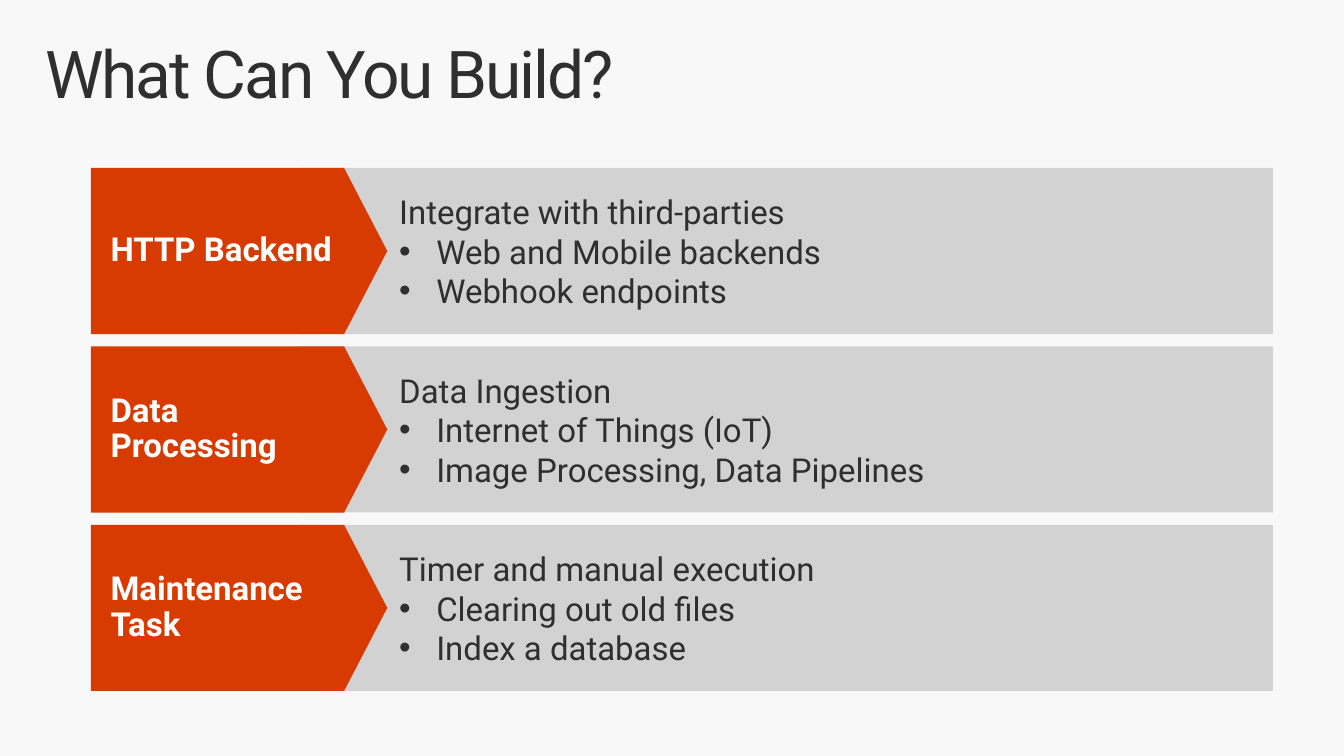
from dataclasses import dataclass

from lxml import etree
from pptx import Presentation
from pptx.dml.color import RGBColor
from pptx.enum.shapes import MSO_SHAPE
from pptx.enum.text import MSO_ANCHOR, PP_ALIGN
from pptx.oxml.ns import qn
from pptx.shapes.autoshape import Shape
from pptx.shapes.group import GroupShape
from pptx.slide import Slide
from pptx.text.text import TextFrame, _Paragraph, _Run
from pptx.util import Pt

RECTANGLE = MSO_SHAPE.RECTANGLE
PENTAGON = MSO_SHAPE.PENTAGON
TOP, MIDDLE = MSO_ANCHOR.TOP, MSO_ANCHOR.MIDDLE
LEFT = PP_ALIGN.LEFT

FONT = "Roboto"
COLORS = {
    "background": "F8F8F8",
    "text": "2F2F2F",
    "panel": "D2D2D2",
    "label": "D83B01",
    "label_text": "FFFFFF",
}
ROW_TOP, ROW_HEIGHT, ROW_PITCH = 122.4, 121, 130
PANEL_LEFT, PANEL_WIDTH = 218.9, 708.5
LABEL_LEFT, LABEL_WIDTH = 66.2, 216
BULLET_INDENT = 27


@dataclass(frozen=True)
class UseCase:
    label: str
    heading: str
    examples: tuple[str, ...]


USE_CASES = (
    UseCase("HTTP Backend", "Integrate with third-parties",
            ("Web and Mobile backends", "Webhook endpoints")),
    UseCase("Data Processing", "Data Ingestion",
            ("Internet of Things (IoT)", "Image Processing, Data Pipelines")),
    UseCase("Maintenance Task", "Timer and manual execution",
            ("Clearing out old files", "Index a database")),
)


def rgb(name: str) -> RGBColor:
    return RGBColor.from_string(COLORS[name])


def set_frame(tf: TextFrame, anchor: MSO_ANCHOR, left: float, right: float, vertical: float) -> None:
    tf.word_wrap = True
    tf.vertical_anchor = anchor
    tf.margin_left, tf.margin_right = Pt(left), Pt(right)
    tf.margin_top = tf.margin_bottom = Pt(vertical)


def add_run(p: _Paragraph, text: str, color: str, size: float = 24, bold: bool = False) -> _Run:
    p.alignment = LEFT
    r = p.add_run()
    r.text = text
    r.font.name = FONT
    r.font.size = Pt(size)
    r.font.bold = bold
    r.font.color.rgb = rgb(color)
    return r


def add_bullet(p: _Paragraph) -> None:
    pPr = p._p.get_or_add_pPr()
    pPr.set("marL", str(Pt(BULLET_INDENT)))
    pPr.set("indent", str(-Pt(BULLET_INDENT)))
    etree.SubElement(pPr, qn("a:buFont")).set("typeface", "Arial")
    etree.SubElement(pPr, qn("a:buChar")).set("char", "•")


def add_block(group: GroupShape, kind: MSO_SHAPE, left: float, top: float, width: float, fill: str) -> Shape:
    s = group.shapes.add_shape(kind, Pt(left), Pt(top), Pt(width), Pt(ROW_HEIGHT))
    s.shadow.inherit = False
    s.fill.solid()
    s.fill.fore_color.rgb = rgb(fill)
    s.line.fill.background()
    return s


def add_title(slide: Slide, text: str) -> None:
    tf = slide.shapes.add_textbox(Pt(21.6), Pt(23), Pt(936), Pt(72)).text_frame
    set_frame(tf, TOP, 11.5, 11.5, 7.2)
    p = tf.paragraphs[0]
    p.line_spacing = 0.9
    r = add_run(p, text, "text", size=48)
    r.font._element.set("spc", "-150")


def add_use_case(slide: Slide, case: UseCase, top: float) -> None:
    group = slide.shapes.add_group_shape()

    panel = add_block(group, RECTANGLE, PANEL_LEFT, top, PANEL_WIDTH, "panel")
    tf = panel.text_frame
    set_frame(tf, MIDDLE, 72, 14.4, 11.5)
    add_run(tf.paragraphs[0], case.heading, "text")
    for example in case.examples:
        p = tf.add_paragraph()
        add_bullet(p)
        add_run(p, example, "text")

    label = add_block(group, PENTAGON, LABEL_LEFT, top, LABEL_WIDTH, "label")
    label.adjustments[0] = 0.26
    tf = label.text_frame
    set_frame(tf, MIDDLE, 14.4, 14.4, 11.5)
    p = tf.paragraphs[0]
    p.line_spacing = 0.9
    add_run(p, case.label, "label_text", bold=True)


def main() -> None:
    """Build the slide of three use cases and save it."""
    prs = Presentation()
    prs.slide_width, prs.slide_height = Pt(979.2), Pt(550.8)
    slide = prs.slides.add_slide(prs.slide_layouts[6])
    slide.background.fill.solid()
    slide.background.fill.fore_color.rgb = rgb("background")
    add_title(slide, "What Can You Build?")
    for i, case in enumerate(USE_CASES):
        add_use_case(slide, case, ROW_TOP + i * ROW_PITCH)
    prs.save("out.pptx")


if __name__ == "__main__":
    main()
